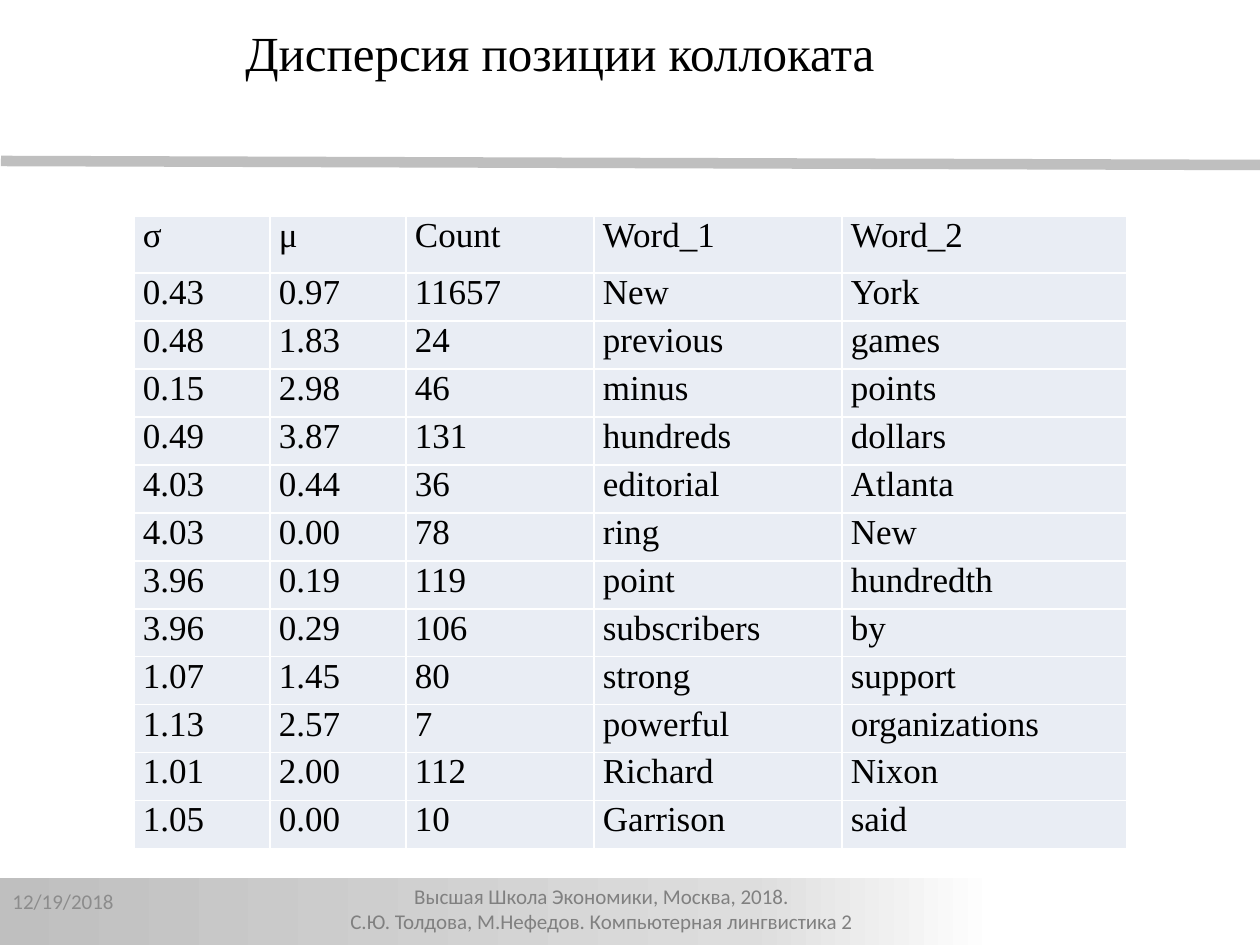
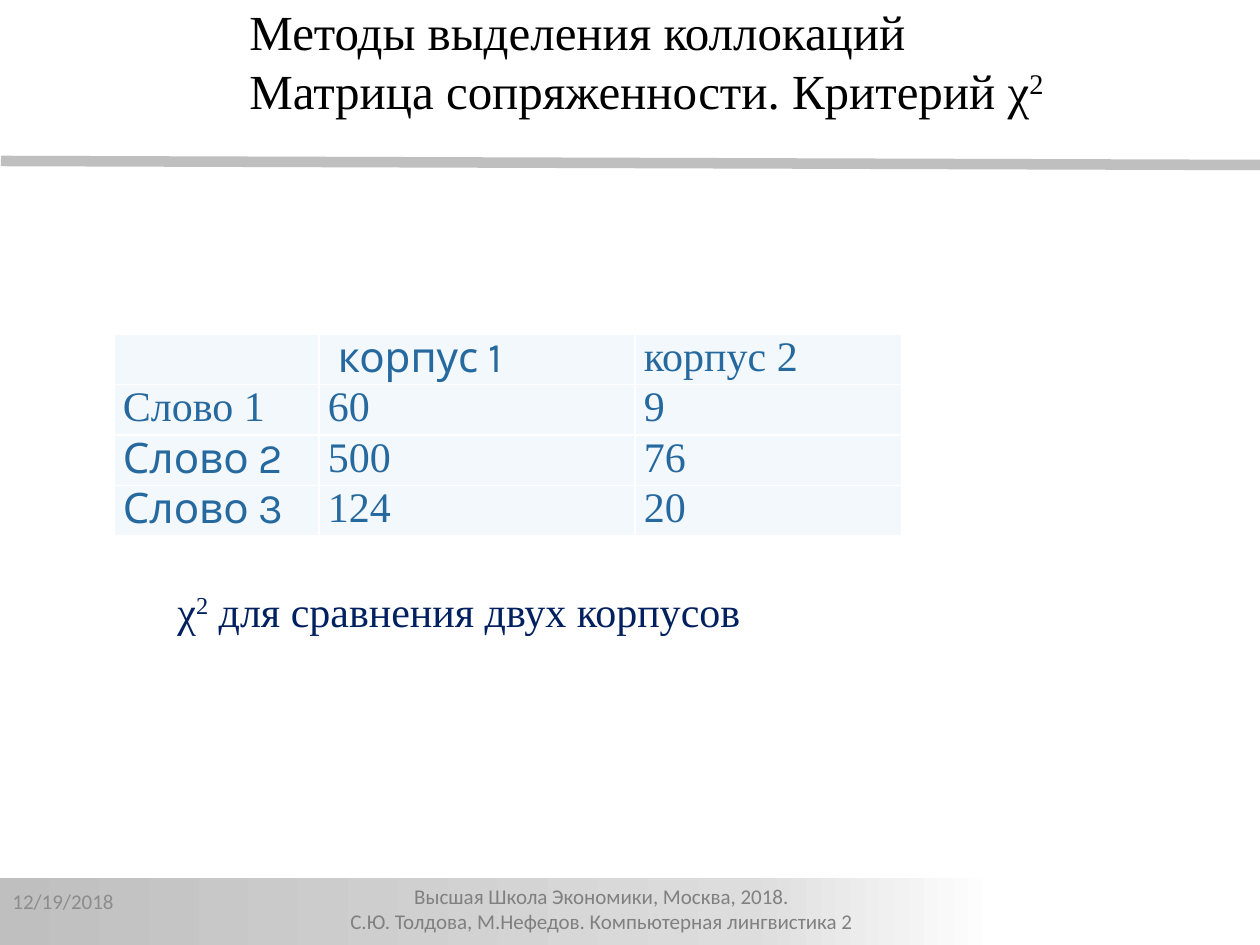
import copy
import pptx
import pptx.util
import pptx.dml.color
import pptx.enum.shapes
import pptx.enum.text
import pptx.oxml
import pptx.oxml.ns
import lxml.etree

RGB = pptx.dml.color.RGBColor
ALIGN = pptx.enum.text.PP_ALIGN
ANCHOR = pptx.enum.text.MSO_ANCHOR
BLACK = RGB(0x00, 0x00, 0x00)
WHITE = RGB(0xFF, 0xFF, 0xFF)
SILVER = RGB(0xBF, 0xBF, 0xBF)
PALE = RGB(0xDD, 0xDD, 0xDD)
GRAY = RGB(0x80, 0x80, 0x80)
DATE = RGB(0x8C, 0x8C, 0x8C)
NAVY = RGB(0x00, 0x20, 0x60)
BLUE = RGB(0x26, 0x69, 0x9F)
MIST = RGB(0xE9, 0xED, 0xF4)
ICE = RGB(0xF3, 0xF8, 0xFC)
SERIF = "Times New Roman"
SANS = "Calibri"
KARLA = "Karla"
SCALE = 914400 / 126
INSET = 9

COUNTS = """
σ μ Сount Word_1 Word_2
0.43 0.97 11657 New York
0.48 1.83 24 previous games
0.15 2.98 46 minus points
0.49 3.87 131 hundreds dollars
4.03 0.44 36 editorial Atlanta
4.03 0.00 78 ring New
3.96 0.19 119 point hundredth
3.96 0.29 106 subscribers by
1.07 1.45 80 strong support
1.13 2.57 7 powerful organizations
1.01 2.00 112 Richard Nixon
1.05 0.00 10 Garrison said
"""
CORPORA = [
    ["", " корпус 1", "корпус 2"],
    ["Слово 1", "60", "9"],
    ["Слово 2", "500", "76"],
    ["Слово 3", "124", "20"],
]
KARLA_CELLS = {(0, 1), (2, 0), (3, 0)}


def px(n):
    return pptx.util.Emu(round(n * SCALE))


def add_run(par, text, size, color, font=SERIF, raised=False):
    run = par.add_run()
    run.text = text
    run.font.size = pptx.util.Pt(size)
    run.font.name = font
    run.font.color.rgb = color
    if raised:
        run._r.get_or_add_rPr().set("baseline", "30000")


def add_text(slide, box, lines, size, color, font=SERIF,
             align=ALIGN.LEFT, anchor=ANCHOR.TOP, indent=0):
    frame = slide.shapes.add_textbox(*map(px, box)).text_frame
    frame.word_wrap = True
    frame.vertical_anchor = anchor
    for i, line in enumerate(lines):
        par = frame.add_paragraph() if i else frame.paragraphs[0]
        par.alignment = align
        if indent:
            par._p.get_or_add_pPr().set("indent", str(px(indent)))
        for j, part in enumerate(line.split("^")):
            add_run(par, part[:1] if j else part, size, color, font, j > 0)
            if j and part[1:]:
                add_run(par, part[1:], size, color, font)


def add_rule(slide, box):
    x, y, w, h = box
    rule = slide.shapes.add_connector(
        pptx.enum.shapes.MSO_CONNECTOR.STRAIGHT,
        px(x), px(y), px(x + w), px(y + h))
    rule.line.color.rgb = SILVER
    rule.line.width = pptx.util.Pt(6)
    lxml.etree.SubElement(rule.element.spPr, pptx.oxml.ns.qn("a:effectLst"))


def add_band(slide, box):
    band = slide.shapes.add_shape(
        pptx.enum.shapes.MSO_SHAPE.RECTANGLE, *map(px, box))
    band.shadow.inherit = False
    band.line.fill.background()
    band.fill.gradient()
    band.fill.gradient_angle = 0
    stops = band.element.xpath(".//a:gsLst")[0]
    stops.insert(0, copy.deepcopy(stops[0]))
    shades = [(0, SILVER), (0.75, PALE), (1, WHITE)]
    for stop, (place, color) in zip(band.fill.gradient_stops, shades):
        stop.position = place
        stop.color.rgb = color


def add_foot(slide, box):
    x, y, w, h = box
    add_band(slide, (x - 1, y, w, h))
    add_text(slide, (x + 241, y - 1, 726, 57),
             ["Высшая Школа Экономики, Москва, 2018. ",
              "С.Ю. Толдова, М.Нефедов. Компьютерная лингвистика 2 "],
             12, GRAY, SANS, ALIGN.CENTER)
    add_text(slide, (x, y - 2, 294, 50), ["12/19/2018"],
             12, DATE, SANS, anchor=ANCHOR.MIDDLE)


def add_edges(cell):
    props = cell._tc.get_or_add_tcPr()
    for i, side in enumerate(("lnL", "lnR", "lnT", "lnB")):
        props.insert(i, pptx.oxml.parse_xml(
            f'<a:{side} {pptx.oxml.ns.nsdecls("a")} w="12700"><a:solidFill>'
            f'<a:srgbClr val="{WHITE}"/></a:solidFill></a:{side}>'))


def add_grid(slide, spot, rows, widths, heights, size, color, fill, karla=()):
    grid = slide.shapes.add_table(
        len(rows), len(widths), px(spot[0]), px(spot[1]),
        px(sum(widths)), px(sum(heights))).table
    grid.first_row = grid.horz_banding = False
    for col, width in zip(grid.columns, widths):
        col.width = px(width)
    for r, (row, height) in enumerate(zip(rows, heights)):
        grid.rows[r].height = px(height)
        for c, text in enumerate(row):
            cell = grid.cell(r, c)
            cell.margin_left = cell.margin_right = px(INSET)
            cell.margin_top = cell.margin_bottom = 0
            cell.fill.solid()
            cell.fill.fore_color.rgb = fill
            add_edges(cell)
            if text:
                font = KARLA if (r, c) in karla else SERIF
                add_run(cell.text_frame.paragraphs[0], text, size, color, font)


def add_slide(deck, box, title):
    slide = deck.slides.add_slide(deck.slide_layouts[6])
    add_rule(slide, (1, 161, 1261, 4))
    add_foot(slide, (0, 878, 998, 72))
    add_text(slide, box, title, 28, BLACK)
    return slide


def show_counts(deck):
    slide = add_slide(deck, (233, 16, 970, 72), ["Дисперсия позиции коллоката"])
    rows = [line.split() for line in COUNTS.strip().splitlines()]
    add_grid(slide, (134, 216), rows, [136, 136, 188, 248, 285],
             [57] + [48] * (len(rows) - 1), 20, BLACK, MIST)


def show_corpora(deck):
    slide = add_slide(deck, (237, -5, 970, 131),
                      ["Методы выделения коллокаций",
                       "Матрица сопряженности. Критерий χ^2"])
    add_grid(slide, (114, 334), CORPORA, [205, 316, 267],
             [50] * len(CORPORA), 24, BLUE, ICE, KARLA_CELLS)
    add_text(slide, (102, 579, 1063, 61), ["χ^2 для сравнения двух корпусов"],
             24, NAVY, indent=63)


def main():
    deck = pptx.Presentation()
    deck.slide_width = px(1260)
    deck.slide_height = px(945)
    show_counts(deck)
    show_corpora(deck)
    deck.save("out.pptx")


if __name__ == "__main__":
    main()
